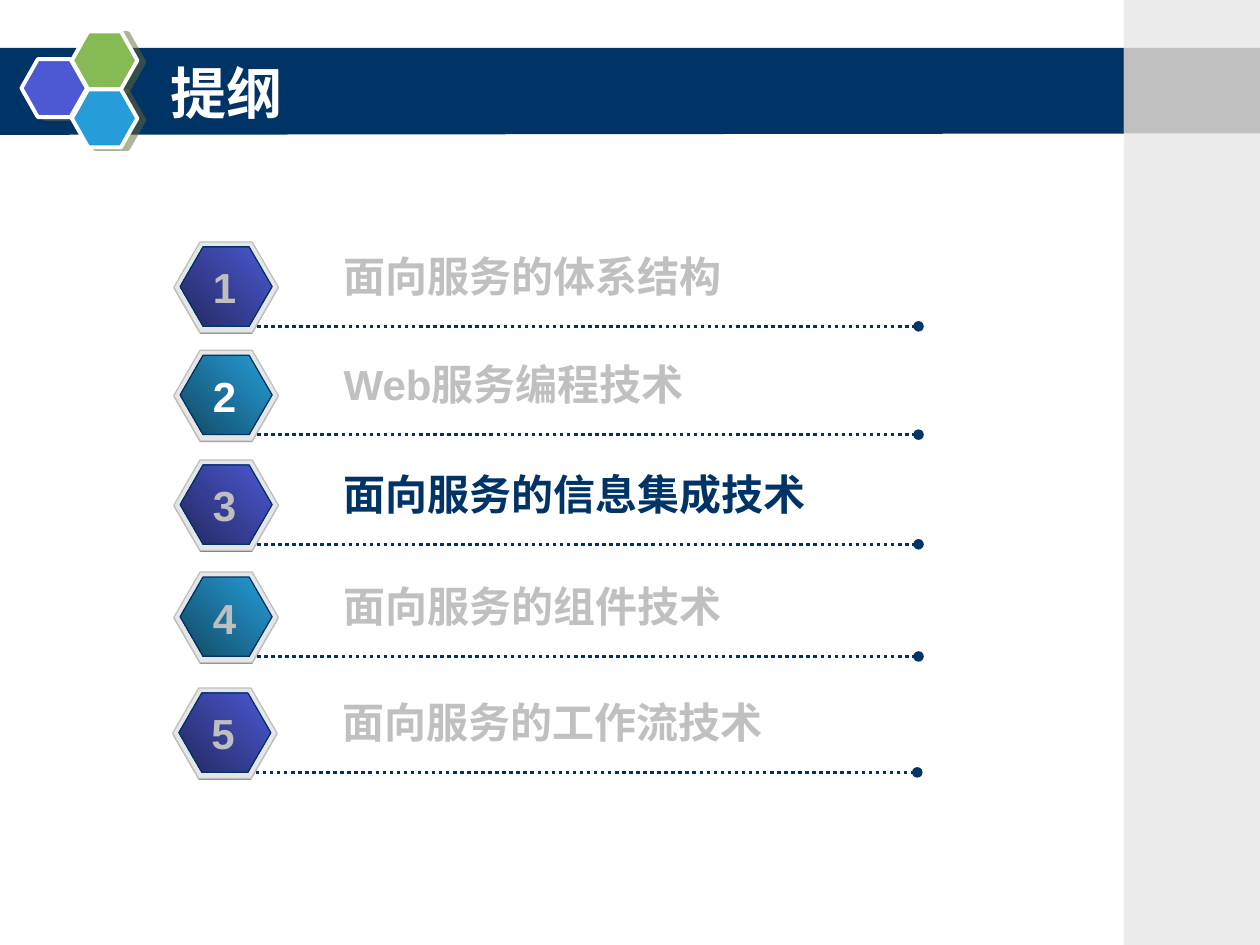
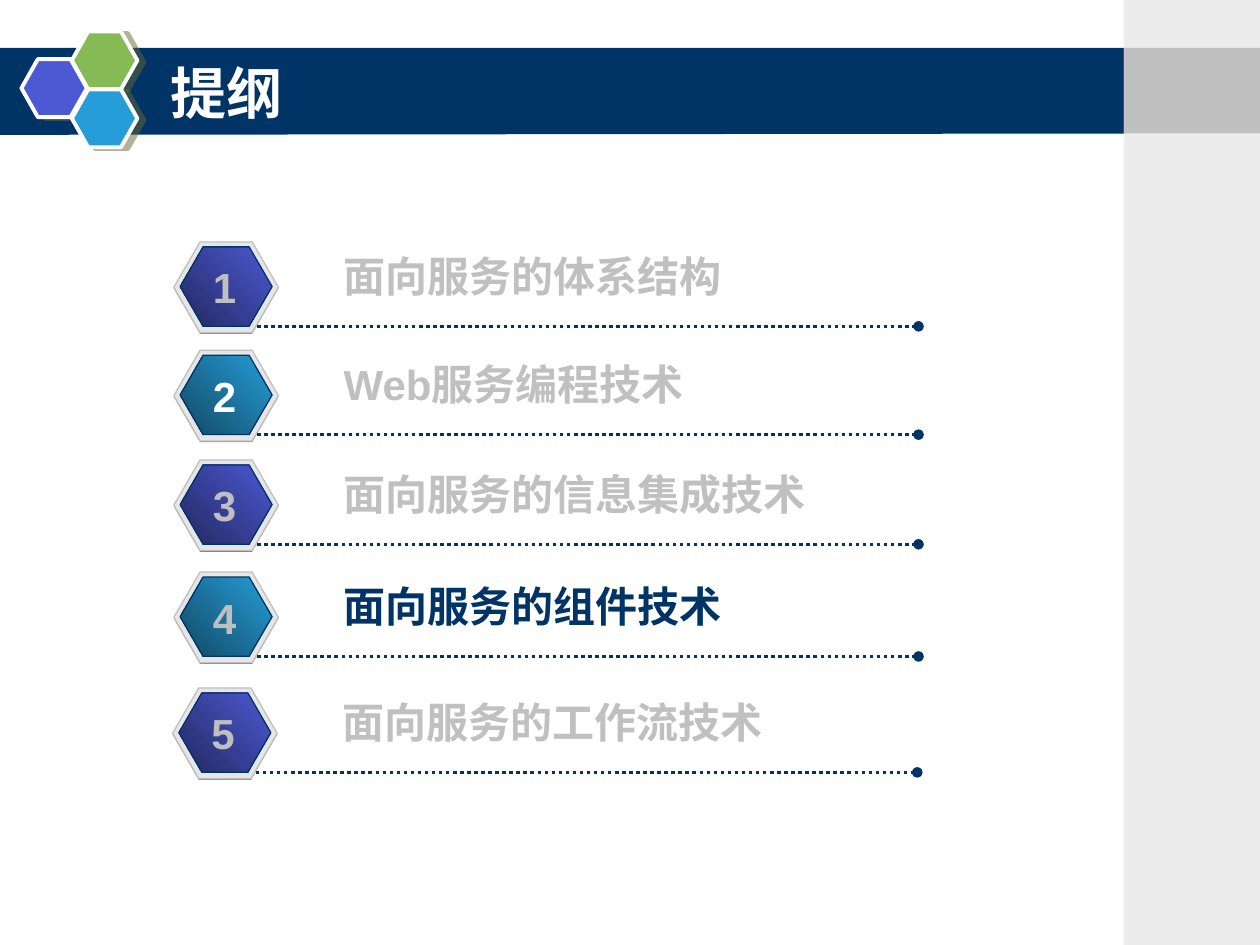
from dataclasses import dataclass

from lxml.etree import SubElement
from pptx import Presentation
from pptx.dml.color import RGBColor
from pptx.enum.dml import MSO_LINE
from pptx.enum.shapes import MSO_CONNECTOR, MSO_SHAPE
from pptx.enum.text import MSO_ANCHOR, MSO_AUTO_SIZE, PP_ALIGN
from pptx.oxml import parse_xml
from pptx.oxml.ns import nsdecls, qn
from pptx.util import Inches, Pt

COLORS = {
    "navy": "003366",
    "white": "FFFFFF",
    "violet": "4C59D2",
    "dark violet": "232961",
    "blue": "269DD8",
    "dark blue": "124964",
    "green": "85BA54",
    "side": "ECECEC",
    "silver": "C0C0C0",
    "number": "BFBFBF",
    "plate": "E6E6E6",
    "base": "808080",
    "shadow": "666633",
}
TITLE_FONT = "Noto Sans CJK SC"
BODY_FONT = "Arial"
BADGE_POINT = 0.289
LOGO_POINT = 0.283


@dataclass(frozen=True)
class AgendaItem:
    text: str
    left: float
    top: float
    text_width: float
    number_color: str = "number"


@dataclass(frozen=True)
class EmblemCell:
    left: float
    top: float
    color: str


AGENDA = [
    AgendaItem("面向服务的体系结构", 1.38, 1.92, 4.72),
    AgendaItem("Web服务编程技术", 1.38, 2.78, 4.64, "white"),
    AgendaItem("面向服务的信息集成技术", 1.38, 3.65, 4.48),
    AgendaItem("面向服务的组件技术", 1.38, 4.54, 4.4),
    AgendaItem("面向服务的工作流技术", 1.37, 5.46, 3.92),
]
EMBLEM = [
    EmblemCell(0.17, 0.47, "violet"),
    EmblemCell(0.57, 0.25, "green"),
    EmblemCell(0.57, 0.71, "blue"),
]
BADGE_GRADIENTS = [("violet", "dark violet"), ("blue", "dark blue")]
CURRENT_ITEMS = [3, 4]


def color(name: str) -> RGBColor:
    return RGBColor.from_string(COLORS[name])


def set_paint(shape, fill: str | tuple[str, str], line: str | None, line_width: float) -> None:
    """Fill with one colour, or with a pair running from top right to bottom left."""
    shape.shadow.inherit = False
    if isinstance(fill, tuple):
        shape.fill.gradient()
        shape.fill.gradient_angle = 225
        for stop, name, position in zip(shape.fill.gradient_stops, fill, (0, 1)):
            stop.color.rgb = color(name)
            stop.position = position
    else:
        shape.fill.solid()
        shape.fill.fore_color.rgb = color(fill)
    if line:
        shape.line.color.rgb = color(line)
        shape.line.width = Pt(line_width)
    else:
        shape.line.fill.background()


def add_block(shapes, kind, left: float, top: float, width: float, height: float, *,
              fill, line: str | None = None, line_width: float = 0.75,
              point: float | None = None):
    shape = shapes.add_shape(kind, Inches(left), Inches(top), Inches(width), Inches(height))
    set_paint(shape, fill, line, line_width)
    if point is not None:
        shape.adjustments[0] = point
    return shape


def write_text(frame, text: str, *, size: float, font: str, font_color: str,
               align=PP_ALIGN.LEFT, anchor=MSO_ANCHOR.TOP, wrap: bool = True,
               auto_size=MSO_AUTO_SIZE.SHAPE_TO_FIT_TEXT) -> None:
    frame.word_wrap = wrap
    frame.auto_size = auto_size
    frame.vertical_anchor = anchor
    paragraph = frame.paragraphs[0]
    paragraph.alignment = align
    run = paragraph.add_run()
    run.text = text
    run.font.size = Pt(size)
    run.font.bold = True
    run.font.name = font
    run.font.color.rgb = color(font_color)
    SubElement(run.font._element, qn("a:ea")).set("typeface", font)


def add_label(shapes, text: str, left: float, top: float, width: float, **text_format) -> None:
    box = shapes.add_textbox(Inches(left), Inches(top), Inches(width), Inches(0.5))
    write_text(box.text_frame, text, size=24, font=BODY_FONT, **text_format)


def add_offset_shadow(shape) -> None:
    properties = shape._element.spPr
    properties.remove(properties.find(qn("a:effectLst")))
    properties.append(parse_xml(
        f'<a:effectLst {nsdecls("a")}>'
        f'<a:outerShdw dist="{Pt(4.1)}" dir="840000" algn="ctr" rotWithShape="0">'
        f'<a:srgbClr val="{COLORS["shadow"]}"><a:alpha val="50000"/></a:srgbClr>'
        '</a:outerShdw></a:effectLst>'))


def add_dotted_rule(shapes, left: float, top: float, right: float) -> None:
    rule = shapes.add_connector(MSO_CONNECTOR.STRAIGHT, Inches(left), Inches(top),
                                Inches(right), Inches(top))
    rule.line.color.rgb = color("navy")
    rule.line.width = Pt(2)
    rule.line.dash_style = MSO_LINE.ROUND_DOT
    SubElement(rule.line._get_or_add_ln(), qn("a:tailEnd")).set("type", "oval")
    SubElement(rule._element.spPr, qn("a:effectLst"))


def add_frame(shapes) -> None:
    """Draw the title band, the emblem and the side strip."""
    builder = shapes.build_freeform(Inches(-0.01), Inches(0.38))
    corners = [(8.94, 0.38), (8.93, 1.06), (-0.01, 1.07)]
    builder.add_line_segments([(Inches(x), Inches(y)) for x, y in corners], close=True)
    set_paint(builder.convert_to_shape(), "navy", None, 0)
    for cell in EMBLEM:
        hexagon = add_block(shapes, MSO_SHAPE.HEXAGON, cell.left, cell.top, 0.52, 0.46,
                            fill=cell.color, line="white", line_width=2.25, point=LOGO_POINT)
        add_offset_shadow(hexagon)
    add_block(shapes, MSO_SHAPE.RECTANGLE, 8.92, 0, 1.08, 7.5, fill="side")
    add_block(shapes, MSO_SHAPE.RECTANGLE, 8.92, 0.38, 1.08, 0.68, fill="silver")


def move_to_layout(slide, layout) -> None:
    """Move all shapes but the placeholders to the layout, so every slide shows them."""
    drawn = [shape for shape in slide.shapes if not shape.is_placeholder]
    for number, shape in enumerate(drawn, start=100):
        shape._element.nvSpPr.cNvPr.set("id", str(number))
        layout.shapes._spTree.append(shape._element)


def add_title(slide, text: str) -> None:
    title = slide.shapes.title
    title.left, title.top = Inches(1.25), Inches(0.42)
    title.width, title.height = Inches(7.42), Inches(0.62)
    write_text(title.text_frame, text, size=32, font=TITLE_FONT, font_color="white",
               anchor=MSO_ANCHOR.MIDDLE, auto_size=MSO_AUTO_SIZE.NONE)


def add_agenda_item(slide, number: int, item: AgendaItem, is_current: bool) -> None:
    shapes = slide.shapes.add_group_shape().shapes
    left, top = item.left, item.top
    add_block(shapes, MSO_SHAPE.HEXAGON, left, top + 0.01, 0.83, 0.72,
              fill="base", point=BADGE_POINT)
    add_block(shapes, MSO_SHAPE.HEXAGON, left, top, 0.83, 0.72,
              fill="plate", line="silver", point=BADGE_POINT)
    add_block(shapes, MSO_SHAPE.HEXAGON, left + 0.05, top + 0.04, 0.73, 0.63,
              fill=BADGE_GRADIENTS[(number - 1) % 2], line="navy", point=BADGE_POINT)
    add_dotted_rule(shapes, left + 0.66, top + 0.67, left + 5.91)
    add_label(shapes, item.text, left + 1.25, top + 0.02, item.text_width,
              font_color="navy" if is_current else "silver")
    add_label(shapes, str(number), left + 0.21, top + 0.11, 0.38,
              font_color=item.number_color, align=PP_ALIGN.CENTER, wrap=False)


def main() -> None:
    presentation = Presentation()
    presentation.slide_width, presentation.slide_height = Inches(10), Inches(7.5)
    layout = presentation.slide_layouts[5]
    slides = [presentation.slides.add_slide(layout) for _ in CURRENT_ITEMS]
    add_frame(slides[0].shapes)
    move_to_layout(slides[0], layout)
    for slide, current in zip(slides, CURRENT_ITEMS):
        add_title(slide, "提纲")
        for number, item in enumerate(AGENDA, start=1):
            add_agenda_item(slide, number, item, number == current)
    presentation.save("out.pptx")


if __name__ == "__main__":
    main()
